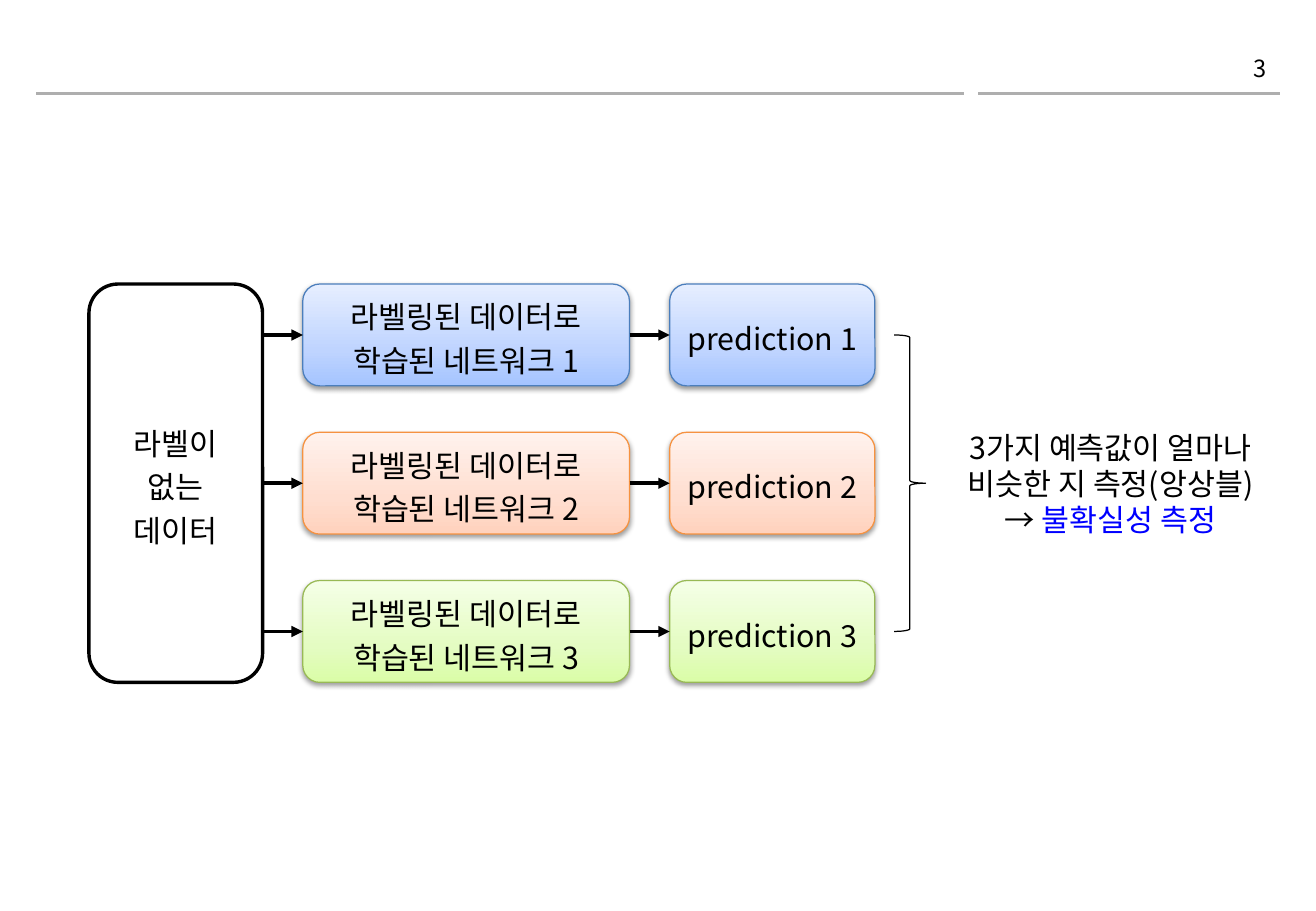
import dataclasses

import lxml.etree
import pptx
import pptx.dml.color
import pptx.enum.shapes
import pptx.enum.text
import pptx.oxml
import pptx.oxml.ns
import pptx.util
from pptx.util import Cm

PRESET = pptx.enum.shapes.MSO_SHAPE
ALIGN = pptx.enum.text.PP_ALIGN
ANCHOR = pptx.enum.text.MSO_ANCHOR


@dataclasses.dataclass(frozen=True)
class Theme:
    font: str = "Noto Sans CJK KR"
    body_size: float = 18
    number_size: float = 14
    ink: str = "000000"
    paper: str = "FFFFFF"
    rule: str = "AEAEAE"
    accent: str = "0000FF"
    # Each row: border, then gradient colours from bottom to top
    rows: tuple = (
        ("4B7EBC", ("A4C4FF", "BFD4FF", "E6EEFF")),
        ("F69240", ("FFD2BD", "FFDED0", "FFF2ED")),
        ("98B955", ("DAFDA7", "E4FCC2", "F5FFE7")),
    )
    gradient_stops: tuple = (0, 35, 100)


THEME = Theme()


@dataclasses.dataclass(frozen=True)
class Box:
    """An area of the slide, in centimetres."""
    left: float
    top: float
    width: float
    height: float

    @property
    def right(self):
        return self.left + self.width

    @property
    def middle(self):
        return self.top + self.height / 2

    def lengths(self):
        return Cm(self.left), Cm(self.top), Cm(self.width), Cm(self.height)


def rgb(color):
    return pptx.dml.color.RGBColor.from_string(color)


def add_xml(parent, tag, **attributes):
    return lxml.etree.SubElement(parent, pptx.oxml.ns.qn(tag), attributes)


def style_line(line, color, points):
    line.color.rgb = rgb(color)
    line.width = pptx.util.Pt(points)


def write(text_frame, lines, size=THEME.body_size, align=ALIGN.CENTER, spacing=None):
    """Write one paragraph per line; a line is a list of (text, color) runs."""
    text_frame.word_wrap = True
    for index, runs in enumerate(lines):
        paragraph = text_frame.paragraphs[0] if index == 0 else text_frame.add_paragraph()
        paragraph.alignment = align
        paragraph.line_spacing = spacing
        paragraph.font.size = pptx.util.Pt(size)
        paragraph.font.name = THEME.font
        paragraph.font.color.rgb = rgb(THEME.ink)
        for text, color in runs:
            run = paragraph.add_run()
            run.text = text
            run.font.color.rgb = rgb(color)
            run.font.name = THEME.font
            add_xml(run.font._element, "a:ea", typeface=THEME.font)


def add_line(slide, start, end, color, points, arrow=False):
    connector = slide.shapes.add_connector(
        pptx.enum.shapes.MSO_CONNECTOR.STRAIGHT, *(Cm(value) for value in (*start, *end)))
    style_line(connector.line, color, points)
    if arrow:
        add_xml(connector.line._get_or_add_ln(), "a:tailEnd", type="triangle")
    add_xml(connector._element.spPr, "a:effectLst")


def add_arrow(slide, left, right, middle):
    add_line(slide, (left, middle), (right, middle), THEME.ink, 2.25, arrow=True)


def add_rounded(slide, box, lines, border, points):
    shape = slide.shapes.add_shape(PRESET.ROUNDED_RECTANGLE, *box.lengths())
    shape.shadow.inherit = False
    style_line(shape.line, border, points)
    shape.text_frame.vertical_anchor = ANCHOR.MIDDLE
    write(shape.text_frame, [[(line, THEME.ink)] for line in lines], spacing=1.2)
    return shape


def add_glossy(slide, box, lines, border, colors):
    """A rounded box with a vertical gradient and a soft shadow below."""
    shape = add_rounded(slide, box, lines, border, 0.75)
    properties = shape._element.spPr
    gradient = pptx.oxml.parse_xml(
        f'<a:gradFill {pptx.oxml.ns.nsdecls("a")} rotWithShape="1"/>')
    stops = add_xml(gradient, "a:gsLst")
    for position, color in zip(THEME.gradient_stops, colors):
        stop = add_xml(stops, "a:gs", pos=str(position * 1000))
        add_xml(stop, "a:srgbClr", val=color)
    add_xml(gradient, "a:lin", ang=str(270 * 60000), scaled="0")
    properties.find(pptx.oxml.ns.qn("a:prstGeom")).addnext(gradient)

    shadow = add_xml(
        properties.find(pptx.oxml.ns.qn("a:effectLst")), "a:outerShdw",
        blurRad=str(pptx.util.Pt(3.1)), dist=str(pptx.util.Pt(1.6)),
        dir=str(90 * 60000), rotWithShape="0")
    shadow_color = add_xml(shadow, "a:srgbClr", val=THEME.ink)
    add_xml(shadow_color, "a:alpha", val="38000")


def add_header(slide, box):
    # Two rules with a small gap
    bottom = box.top + box.height
    for left, right in ((0, 19.4), (19.69, box.width)):
        add_line(slide, (box.left + left, bottom), (box.left + right, bottom),
                 THEME.rule, 2)

    # Page number
    number_box = Box(box.right - 1.4, box.top, 1.37, 1.02)
    number = slide.shapes.add_textbox(*number_box.lengths())
    number.text_frame.vertical_anchor = ANCHOR.MIDDLE
    write(number.text_frame, [[("3", THEME.ink)]], THEME.number_size, ALIGN.RIGHT)


def add_ensemble(slide, box):
    # Unlabelled data
    data = Box(box.left, box.top, 3.63, box.height)
    data_shape = add_rounded(slide, data, ["라벨이", "없는", "데이터"], THEME.ink, 2)
    data_shape.fill.solid()
    data_shape.fill.fore_color.rgb = rgb(THEME.paper)

    # One row per network: data -> network -> prediction
    row_height = 2.13
    pitch = (box.height - row_height) / (len(THEME.rows) - 1)
    for index, (border, colors) in enumerate(THEME.rows):
        top = box.top + index * pitch
        network = Box(box.left + 4.47, top, 6.83, row_height)
        prediction = Box(network.right + 0.84, top, 4.29, row_height)
        network_lines = ["라벨링된 데이터로", f"학습된 네트워크 {index + 1}"]
        add_glossy(slide, network, network_lines, border, colors)
        add_glossy(slide, prediction, [f"prediction {index + 1}"], border, colors)
        add_arrow(slide, data.right, network.left, network.middle)
        add_arrow(slide, network.right, prediction.left, network.middle)

    # Brace from the first row's middle to the last row's
    brace_box = Box(prediction.right + 0.4, box.top + row_height / 2,
                    0.66, box.height - row_height)
    brace = slide.shapes.add_shape(PRESET.RIGHT_BRACE, *brace_box.lengths())
    brace.shadow.inherit = False
    brace.fill.background()
    style_line(brace.line, THEME.ink, 0.75)

    # Conclusion
    height = 2.57
    conclusion_box = Box(brace_box.right, box.middle - height / 2 + 0.02,
                         box.right - brace_box.right, height)
    conclusion = slide.shapes.add_textbox(*conclusion_box.lengths())
    write(conclusion.text_frame, [
        [("3가지 예측값이 얼마나 비슷한 지 측정(앙상블)", THEME.ink)],
        [("→ ", THEME.ink), ("불확실성 측정", THEME.accent)],
    ])
    conclusion.text_frame.auto_size = pptx.enum.text.MSO_AUTO_SIZE.SHAPE_TO_FIT_TEXT


presentation = pptx.Presentation()
presentation.slide_width = Cm(27.51)
presentation.slide_height = Cm(19.05)
slide = presentation.slides.add_slide(presentation.slide_layouts[6])
add_header(slide, Box(0.76, 0.91, 25.99, 1.05))
add_ensemble(slide, Box(1.86, 5.94, 25.22, 8.33))
presentation.save("out.pptx")
